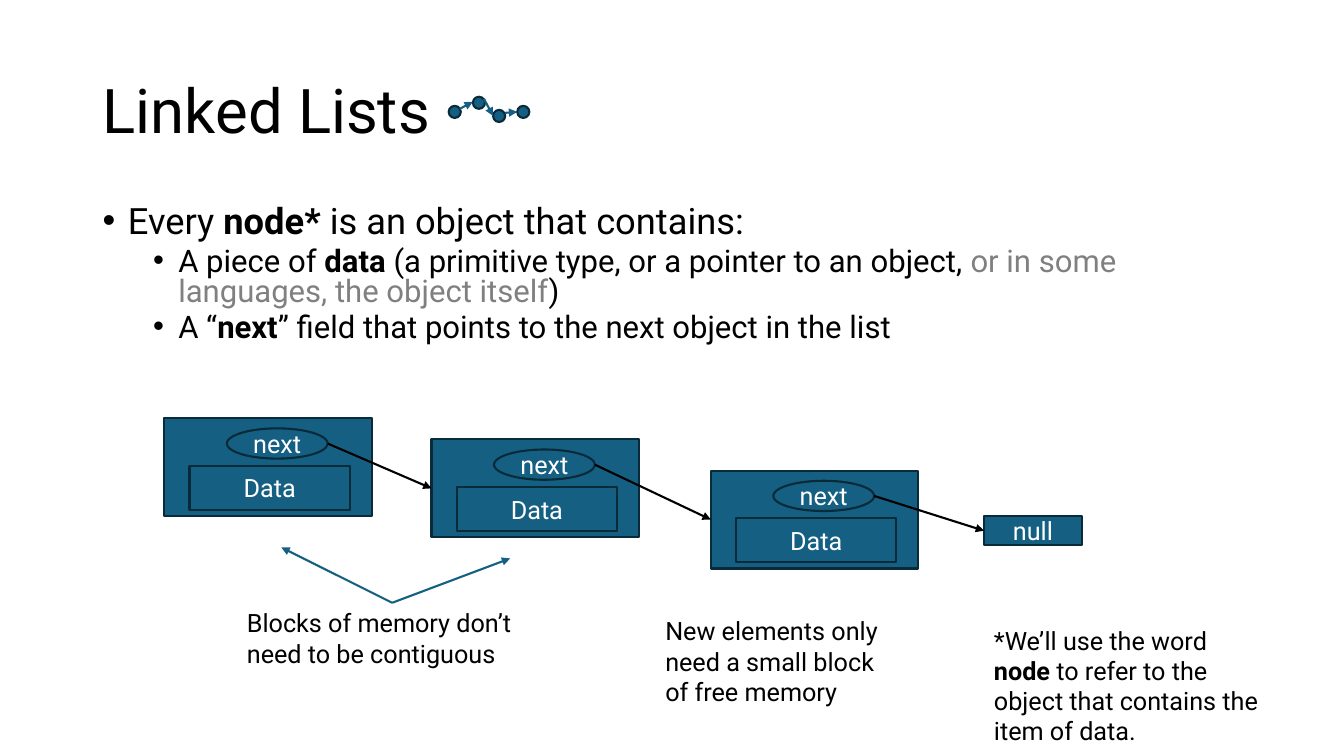
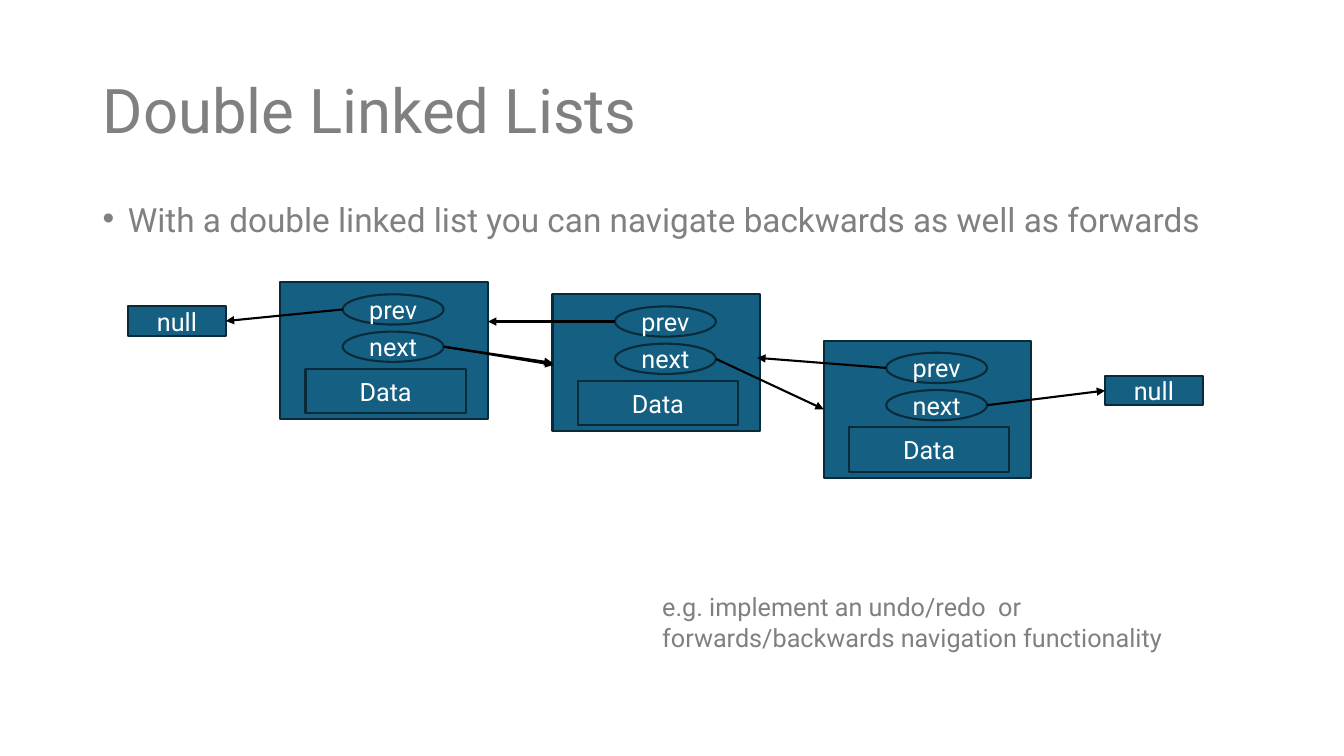
from dataclasses import dataclass

from lxml import etree
from pptx import Presentation
from pptx.dml.color import RGBColor
from pptx.enum.shapes import MSO_CONNECTOR, MSO_SHAPE
from pptx.enum.text import MSO_ANCHOR, PP_ALIGN
from pptx.oxml.ns import qn
from pptx.util import Emu, Pt

RECTANGLE = MSO_SHAPE.RECTANGLE
OVAL = MSO_SHAPE.OVAL
STRAIGHT = MSO_CONNECTOR.STRAIGHT
MIDDLE = MSO_ANCHOR.MIDDLE
TOP = MSO_ANCHOR.TOP
CENTER = PP_ALIGN.CENTER
TOP_SIDE, LEFT_SIDE, RIGHT_SIDE = 0, 1, 3
EMU_PER_PX = 9144


@dataclass(frozen=True)
class Theme:
    """Colours, font and type sizes shared by the slides."""
    font: str = "Roboto"
    black: RGBColor = RGBColor(0x00, 0x00, 0x00)
    grey: RGBColor = RGBColor(0x80, 0x80, 0x80)
    white: RGBColor = RGBColor(0xFF, 0xFF, 0xFF)
    blue: RGBColor = RGBColor(0x15, 0x60, 0x82)
    navy: RGBColor = RGBColor(0x09, 0x2A, 0x39)
    title_size: float = 44
    lead_size: float = 25.9
    detail_size: float = 22.2
    statement_size: float = 23.8
    label_size: float = 18
    line_width: float = 1.5
    title_spacing: float = 0.9
    body_spacing: float = 0.8
    detail_gap: float = 5


THEME = Theme()
TITLE_BOX = (92, 40, 1150, 145)
BLOCK_WIDTH = 206
NULL_WIDTH, NULL_HEIGHT = 97, 29


def px(length):
    """Turn px into EMU."""
    return Emu(length * EMU_PER_PX)


def add_run(paragraph, text, size, color, bold=False):
    """Add one styled run."""
    run = paragraph.add_run()
    run.text = text
    run.font.name = THEME.font
    run.font.size = Pt(size)
    run.font.color.rgb = color
    if bold:
        run.font.bold = True


def add_text_box(slide, box, anchor=TOP):
    """Add an empty wrapping text box."""
    text_box = slide.shapes.add_textbox(*map(px, box))
    text_box.text_frame.word_wrap = True
    text_box.text_frame.vertical_anchor = anchor
    return text_box


def add_title(slide, text, color):
    """Add the slide title."""
    frame = add_text_box(slide, TITLE_BOX, MIDDLE).text_frame
    paragraph = frame.paragraphs[0]
    paragraph.line_spacing = THEME.title_spacing
    add_run(paragraph, text, THEME.title_size, color)


def add_caption(slide, box, runs, color=THEME.black):
    """Add a caption from (text, bold) runs."""
    caption = add_text_box(slide, box)
    for text, bold in runs:
        add_run(caption.text_frame.paragraphs[0], text, THEME.label_size, color, bold)
    return caption


def add_bullets(slide, box, items):
    """Add bullets from (level, size, runs) items."""
    frame = add_text_box(slide, box).text_frame
    for index, (level, size, runs) in enumerate(items):
        paragraph = frame.add_paragraph() if index else frame.paragraphs[0]
        paragraph.level = level
        properties = paragraph._p.get_or_add_pPr()
        properties.set("marL", str(px(25 + 50 * level)))
        properties.set("indent", str(px(-25)))
        etree.SubElement(properties, qn("a:buFont")).set("typeface", "Arial")
        etree.SubElement(properties, qn("a:buChar")).set("char", "•")
        paragraph.line_spacing = THEME.body_spacing
        if index:
            paragraph.space_before = Pt(THEME.detail_gap)
        for text, color, bold in runs:
            add_run(paragraph, text, size, color, bold)


def add_block(shapes, kind, box, label=None):
    """Add a blue outlined shape with an optional centred label."""
    shape = shapes.add_shape(kind, *map(px, box))
    shape.shadow.inherit = False
    shape.fill.solid()
    shape.fill.fore_color.rgb = THEME.blue
    shape.line.color.rgb = THEME.navy
    shape.line.width = Pt(THEME.line_width)
    if label:
        frame = shape.text_frame
        frame.margin_left = frame.margin_right = 0
        frame.margin_top = frame.margin_bottom = 0
        frame.vertical_anchor = MIDDLE
        frame.paragraphs[0].alignment = CENTER
        add_run(frame.paragraphs[0], label, THEME.label_size, THEME.white)
    return shape


def add_arrow(shapes, start, end, color=THEME.black):
    """Add a straight arrow."""
    arrow = shapes.add_connector(STRAIGHT, *map(px, start + end))
    arrow.line.color.rgb = color
    arrow.line.width = Pt(THEME.line_width)
    tail = etree.SubElement(arrow.line._get_or_add_ln(), qn("a:tailEnd"))
    tail.set("type", "triangle")
    etree.SubElement(arrow._element.spPr, qn("a:effectLst"))
    return arrow


def add_null(slide, left, top):
    """Add a null block."""
    box = (left, top, NULL_WIDTH, NULL_HEIGHT)
    return add_block(slide.shapes, RECTANGLE, box, "null")


def add_node(slide, left, top, height, double=False):
    """Add a grouped node and return its outer block."""
    shapes = slide.shapes.add_group_shape().shapes
    bottom = top + height
    block = add_block(shapes, RECTANGLE, (left, top, BLOCK_WIDTH, height))
    add_block(shapes, OVAL, (left + 62, bottom - 87, 100, 30), "next")
    add_block(shapes, RECTANGLE, (left + 25, bottom - 50, 159, 44), "Data")
    if double:
        add_block(shapes, OVAL, (left + 62, top + 12, 100, 30), "prev")
    return block


def add_chain(slide, positions, height, end_null, double=False):
    """Add nodes with next arrows that lead to the closing null."""
    blocks = [add_node(slide, left, top, height, double) for left, top in positions]
    targets = blocks[1:] + [add_null(slide, *end_null)]
    for (left, top), target in zip(positions, targets):
        start = (left + 162, top + height - 72)
        add_arrow(slide.shapes, start, start).end_connect(target, LEFT_SIDE)


def add_list_icon(slide, left, top):
    """Add the small chain of dots beside the title."""
    shapes = slide.shapes.add_group_shape().shapes
    for x, y in ((0, 9), (24, 0), (44, 13), (68, 9)):
        add_block(shapes, OVAL, (left + x, top + y, 12, 12))
    for x1, y1, x2, y2 in ((11, 12, 24, 5), (35, 2, 44, 19), (56, 16, 68, 15)):
        add_arrow(shapes, (left + x1, top + y1), (left + x2, top + y2), THEME.blue)


def build_linked_lists(slide):
    """Build the single linked list slide."""
    black, grey = THEME.black, THEME.grey
    add_title(slide, "Linked Lists", black)
    add_list_icon(slide, 445, 96)
    add_bullets(slide, (92, 200, 1150, 150), (
        (0, THEME.lead_size, (
            ("Every ", black, False),
            ("node*", black, True),
            (" is an object that contains:", black, False))),
        (1, THEME.detail_size, (
            ("A piece of ", black, False),
            ("data", black, True),
            (" (a primitive type, or a pointer to an object, ", black, False),
            ("or in some languages, the object itself", grey, False),
            (")", black, False))),
        (1, THEME.detail_size, (
            ("A “", black, False),
            ("next", black, True),
            ("” field that points to the next object in the list", black, False))),
    ))
    add_chain(slide, ((163, 415), (428, 436), (705, 467)), 97, (976, 512))
    contiguous = add_caption(slide, (235, 598, 308, 71), (
        ("Blocks of memory don’t need to be contiguous", False),))
    for tip in ((279, 543), (506, 554)):
        arrow = add_arrow(slide.shapes, tip, tip, THEME.blue)
        arrow.begin_connect(contiguous, TOP_SIDE)
    add_caption(slide, (650, 606, 240, 101), (
        ("New elements only need a small block of free memory", False),))
    add_caption(slide, (976, 615, 286, 131), (
        ("*We’ll use the word ", False),
        ("node", True),
        (" to refer to the object that contains the item of data.", False)))


def build_double_linked_lists(slide):
    """Build the double linked list slide."""
    add_title(slide, "Double Linked Lists", THEME.grey)
    statement = "With a double linked list you can navigate backwards as well as forwards"
    add_bullets(slide, (92, 200, 1150, 50), (
        (0, THEME.statement_size, ((statement, THEME.grey, False),)),))
    positions = ((278, 280), (548, 292), (817, 338))
    add_chain(slide, positions, 136, (1096, 373), double=True)
    add_arrow(slide.shapes, (441, 344), (549, 362))
    starts = [(left + 62, top + 27) for left, top in positions]
    first_null = add_null(slide, 127, 304)
    add_arrow(slide.shapes, starts[0], starts[0]).end_connect(first_null, RIGHT_SIDE)
    for start, end in zip(starts[1:], ((484, 319), (751, 355))):
        add_arrow(slide.shapes, start, end)
    add_caption(slide, (647, 582, 543, 71), (
        ("e.g. implement an undo/redo  or forwards/backwards navigation functionality",
         False),), THEME.grey)


def main():
    """Build and save the presentation."""
    presentation = Presentation()
    presentation.slide_width = px(1333)
    presentation.slide_height = px(750)
    blank = presentation.slide_layouts[6]
    for build in (build_linked_lists, build_double_linked_lists):
        build(presentation.slides.add_slide(blank))
    presentation.save("out.pptx")


if __name__ == "__main__":
    main()
